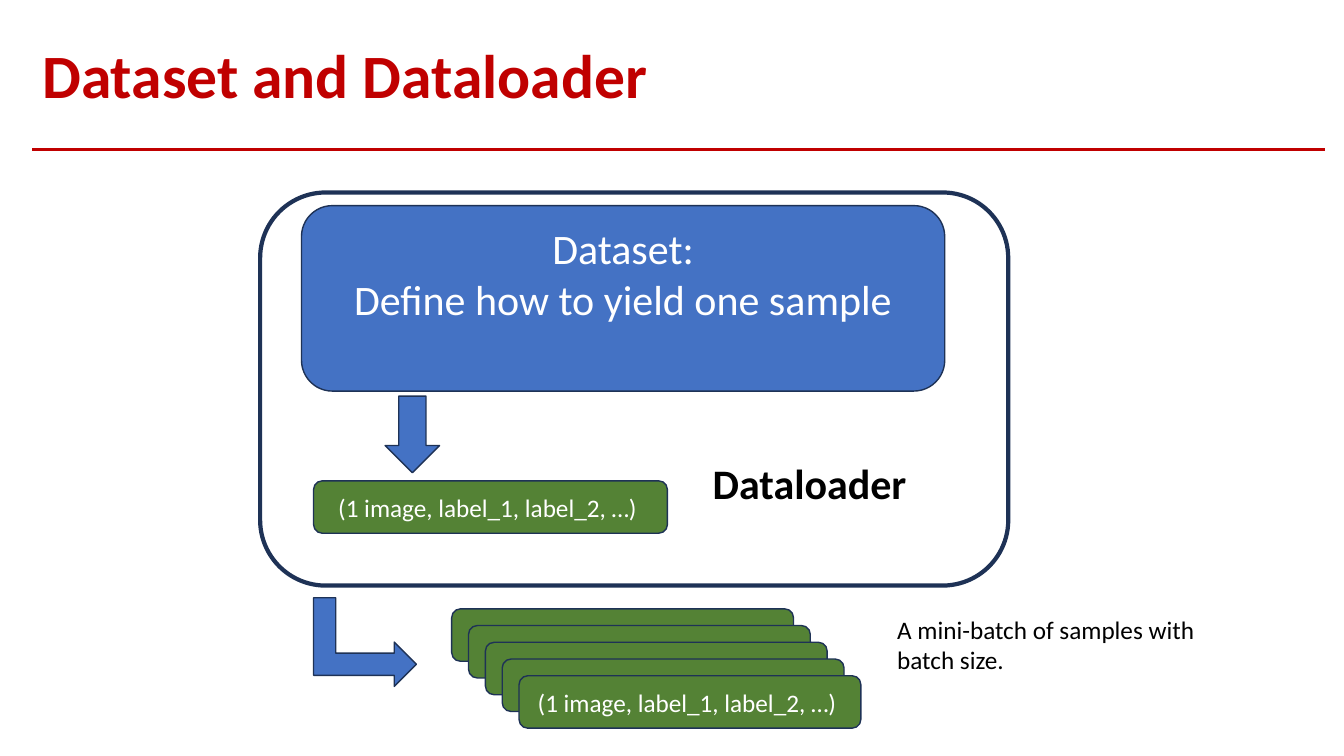
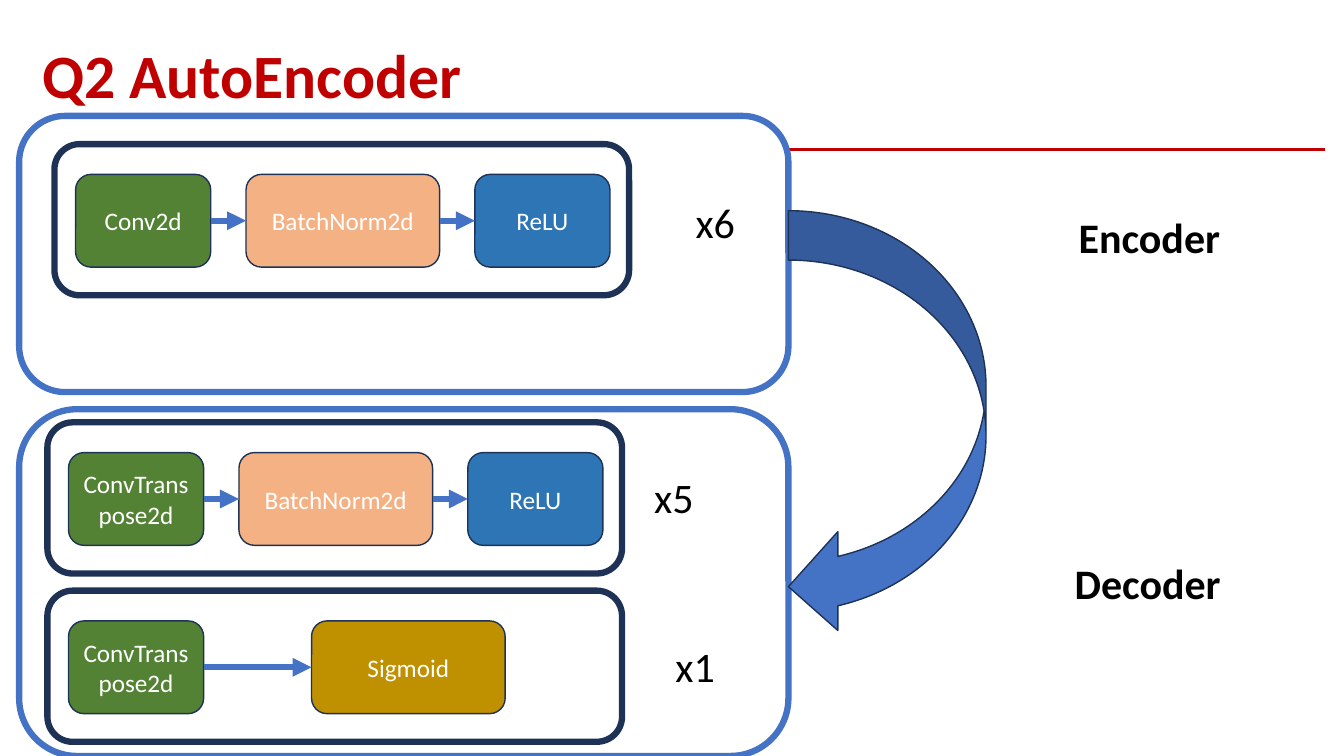
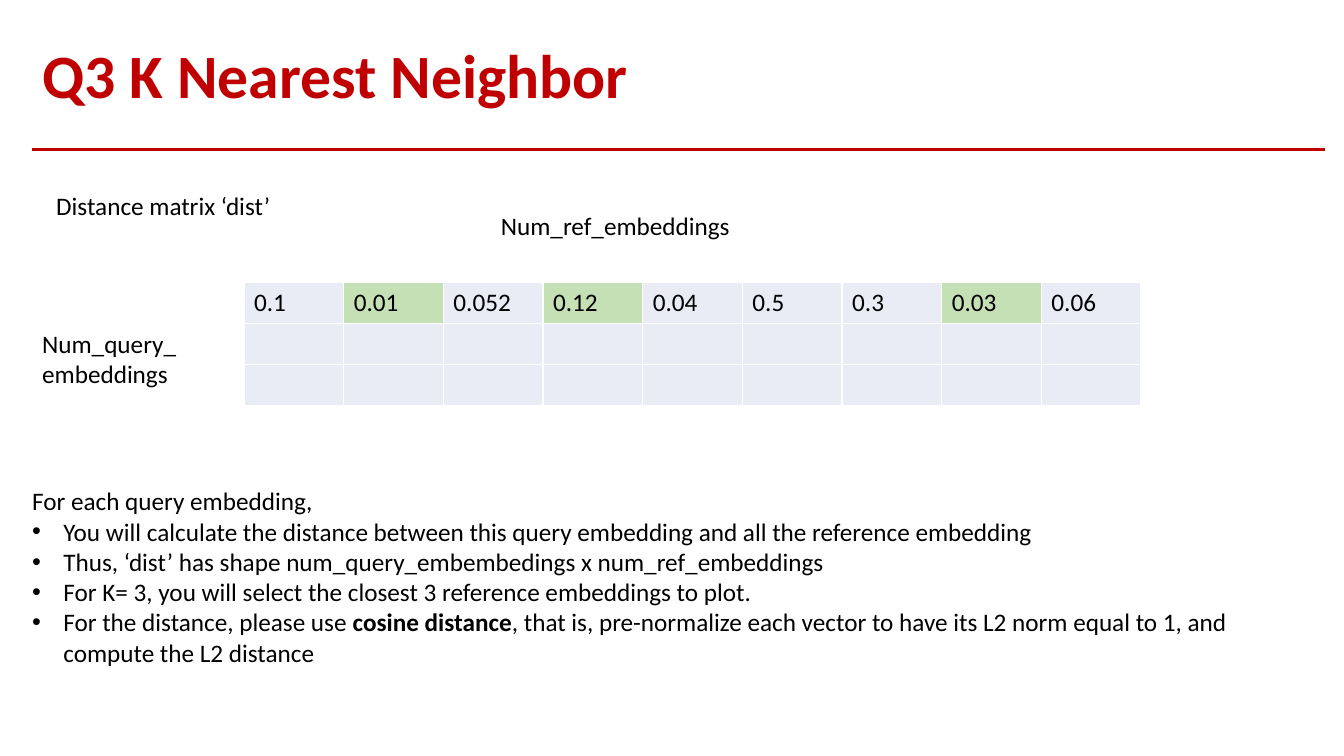
"""Build three teaching slides on data loading, an autoencoder and nearest neighbours."""
import lxml.etree
import pptx
import pptx.dml.color
import pptx.enum.shapes
import pptx.enum.text
import pptx.oxml.ns
import pptx.util

Inches = pptx.util.Inches
Pt = pptx.util.Pt
RGB = pptx.dml.color.RGBColor.from_string
MSO = pptx.enum.shapes.MSO_SHAPE
STRAIGHT = pptx.enum.shapes.MSO_CONNECTOR.STRAIGHT
ALIGN = pptx.enum.text.PP_ALIGN
ANCHOR = pptx.enum.text.MSO_ANCHOR
qn = pptx.oxml.ns.qn


class Theme:
    font = "Calibri"
    red, navy, blue = "C00000", "1E3256", "4472C4"
    green, peach, sky, gold = "548235", "F4B183", "2E75B6", "BF9000"
    white, black = "FFFFFF", "000000"
    cell, picked = "E9EBF5", "C5E0B4"
    title, large, body = 44, 30, 18
    thin, frame, rule, heavy = 1, 3, 2.25, 4.5


def write(sp, text, size=Theme.body, color=Theme.black, bold=False, align=ALIGN.LEFT,
          anchor=ANCHOR.TOP, spacing=None, bullets_from=None):
    """Fill a shape or cell; each line is a paragraph and **marks** set bold."""
    tf = sp.text_frame
    tf.word_wrap = True
    tf.vertical_anchor = anchor
    for i, line in enumerate(text.split("\n")):
        p = tf.add_paragraph() if i else tf.paragraphs[0]
        p.alignment = align
        if spacing:
            p.line_spacing = spacing
        if bullets_from is not None and i >= bullets_from:
            pPr = p._p.get_or_add_pPr()
            pPr.set("marL", str(Inches(0.31)))
            pPr.set("indent", str(-Inches(0.31)))
            lxml.etree.SubElement(pPr, qn("a:buFont")).set("typeface", "Arial")
            lxml.etree.SubElement(pPr, qn("a:buChar")).set("char", "•")
        for j, part in enumerate(line.split("**")):
            r = p.add_run()
            r.text = part
            r.font.name = Theme.font
            r.font.size = Pt(size)
            r.font.bold = bold or j % 2 == 1
            r.font.color.rgb = RGB(color)


def add_box(sl, at, fill=Theme.white, preset=MSO.ROUNDED_RECTANGLE, line=Theme.navy,
            width=Theme.thin, label=None, size=Theme.body):
    """Add a preset shape, with a centred white label if one is given."""
    sp = sl.shapes.add_shape(preset, *map(Inches, at))
    sp.shadow.inherit = False
    sp.fill.solid()
    sp.fill.fore_color.rgb = RGB(fill)
    sp.line.color.rgb = RGB(line)
    sp.line.width = Pt(width)
    if label:
        write(sp, label, size=size, color=Theme.white, align=ALIGN.CENTER, anchor=ANCHOR.MIDDLE)
    return sp


prs = pptx.Presentation()
prs.slide_width, prs.slide_height = Inches(13.33), Inches(7.5)

slides = []
for title in ("Dataset and Dataloader", "Q2 AutoEncoder", "Q3 K Nearest Neighbor"):
    sl = prs.slides.add_slide(prs.slide_layouts[6])
    rule = sl.shapes.add_connector(STRAIGHT, Inches(0.32), Inches(1.48), Inches(13.14), Inches(1.48))
    rule.line.color.rgb = RGB(Theme.red)
    rule.line.width = Pt(Theme.rule)
    sp = sl.shapes.add_textbox(Inches(0.32), Inches(0.28), Inches(12.82), Inches(1))
    write(sp, title, size=Theme.title, color=Theme.red, bold=True, anchor=ANCHOR.MIDDLE, spacing=0.9)
    slides.append(sl)
loader, encoder, neighbor = slides

sample = "(1 image, label_1, label_2, …) "
add_box(loader, (2.58, 1.91, 7.42, 3.9), width=Theme.frame)
dataset = add_box(loader, (2.99, 2.04, 6.38, 1.84), Theme.blue, size=Theme.large,
                  label="Dataset:\nDefine how to yield one sample")
dataset.text_frame.margin_bottom = Inches(0.55)
add_box(loader, (3.82, 3.93, 0.54, 0.76), Theme.blue, MSO.DOWN_ARROW)
add_box(loader, (3.11, 4.77, 3.51, 0.52), Theme.green, label=sample)
for i in range(5):
    add_box(loader, (4.48 + i * 0.167, 6.04 + i * 0.166, 3.39, 0.52), Theme.green, label=sample)
turn = add_box(loader, (3.18, 5.86, 0.88, 1.02), Theme.blue, MSO.BENT_UP_ARROW)
turn.rotation = 90

for top, height in ((4.06, 3.44), (1.15, 2.74)):
    add_box(encoder, (0.19, top, 7.63, height), line=Theme.blue, width=Theme.heavy)

norm_relu = [("BatchNorm2d", Theme.peach, 1.92), ("ReLU", Theme.sky, 1.34)]
transpose = ("ConvTranspose2d", Theme.green, 1.34)
stages = [
    (0.54, 1.43, 0.35, [("Conv2d", Theme.green, 1.34)] + norm_relu),
    (0.47, 4.19, 0.35, [transpose] + norm_relu),
    (0.47, 5.86, 1.07, [transpose, ("Sigmoid", Theme.gold, 1.92)]),
]
for left, top, gap, layers in stages:
    add_box(encoder, (left, top, 5.7, 1.5), width=Theme.heavy)
    x, previous = left + 0.21, None
    for name, fill, width in layers:
        sp = add_box(encoder, (x, top + 0.3, width, 0.92), fill, label=name)
        if previous is not None:
            arrow = encoder.shapes.add_connector(STRAIGHT, 0, 0, 0, 0)
            arrow.begin_connect(previous, 3)
            arrow.end_connect(sp, 1)
            arrow.line.color.rgb = RGB(Theme.blue)
            arrow.line.width = Pt(Theme.heavy)
            lxml.etree.SubElement(arrow.get_or_add_ln(), qn("a:tailEnd")).set("type", "triangle")
        x, previous = x + width + gap, sp
add_box(encoder, (7.82, 2.09, 1.96, 4.22), Theme.blue, MSO.CURVED_LEFT_ARROW)

values = ("0.1", "0.01", "0.052", "0.12", "0.04", "0.5", "0.3", "0.03", "0.06")
picked = (1, 3, 7)
rows = 3
table_width, table_height = 8.9, 1.22
table = neighbor.shapes.add_table(rows, len(values), Inches(2.42), Inches(2.8),
                                  Inches(table_width), Inches(table_height)).table
table.first_row = table.horz_banding = False
for col in table.columns:
    col.width = Inches(table_width / len(values))
for i in range(rows):
    table.rows[i].height = Inches(table_height / rows)
    for j, value in enumerate(values):
        cell = table.cell(i, j)
        tcPr = cell._tc.get_or_add_tcPr()
        for side in ("a:lnL", "a:lnR", "a:lnT", "a:lnB"):
            ln = lxml.etree.SubElement(tcPr, qn(side), w=str(Pt(Theme.thin)))
            solid = lxml.etree.SubElement(ln, qn("a:solidFill"))
            lxml.etree.SubElement(solid, qn("a:srgbClr"), val=Theme.white)
        cell.fill.solid()
        cell.fill.fore_color.rgb = RGB(Theme.picked if i == 0 and j in picked else Theme.cell)
        if i == 0:
            write(cell, value)

steps = """For each query embedding,
You will calculate the distance between this query embedding and all the reference embedding
Thus, ‘dist’ has shape num_query_embembedings x num_ref_embeddings
For K= 3, you will select the closest 3 reference embeddings to plot.
For the distance, please use **cosine distance**, that is, pre-normalize each vector to have its L2 norm equal to 1, and compute the L2 distance"""
heading = dict(size=Theme.large, bold=True)
count = dict(size=Theme.large)
texts = [
    (loader, (6.97, 4.49, 2.46, 0.61), "Dataloader", heading),
    (loader, (8.8, 6.04, 3.25, 0.71), "A mini-batch of samples with batch size.", {}),
    (encoder, (6.8, 1.9, 2.18, 0.61), "x6", count),
    (encoder, (6.39, 4.63, 2.18, 0.61), "x5", count),
    (encoder, (6.6, 6.31, 2.18, 0.61), "x1", count),
    (encoder, (10.6, 2.05, 1.74, 0.61), "Encoder", heading),
    (encoder, (10.56, 5.48, 1.74, 0.61), "Decoder", heading),
    (neighbor, (0.32, 3.21, 1.56, 0.71), "Num_query_embeddings", {}),
    (neighbor, (4.87, 2.04, 4.4, 0.4), "Num_ref_embeddings", {}),
    (neighbor, (0.46, 1.84, 4.4, 0.4), "Distance matrix ‘dist’", {}),
    (neighbor, (0.22, 4.77, 12.82, 1.92), steps, dict(bullets_from=1)),
]
for sl, at, text, style in texts:
    write(sl.shapes.add_textbox(*map(Inches, at)), text, **style)

for sl in slides:
    for sp in sl.shapes:
        if sp.shape_type == pptx.enum.shapes.MSO_SHAPE_TYPE.LINE:
            lxml.etree.SubElement(sp._element.spPr, qn("a:effectLst"))

prs.save("out.pptx")
